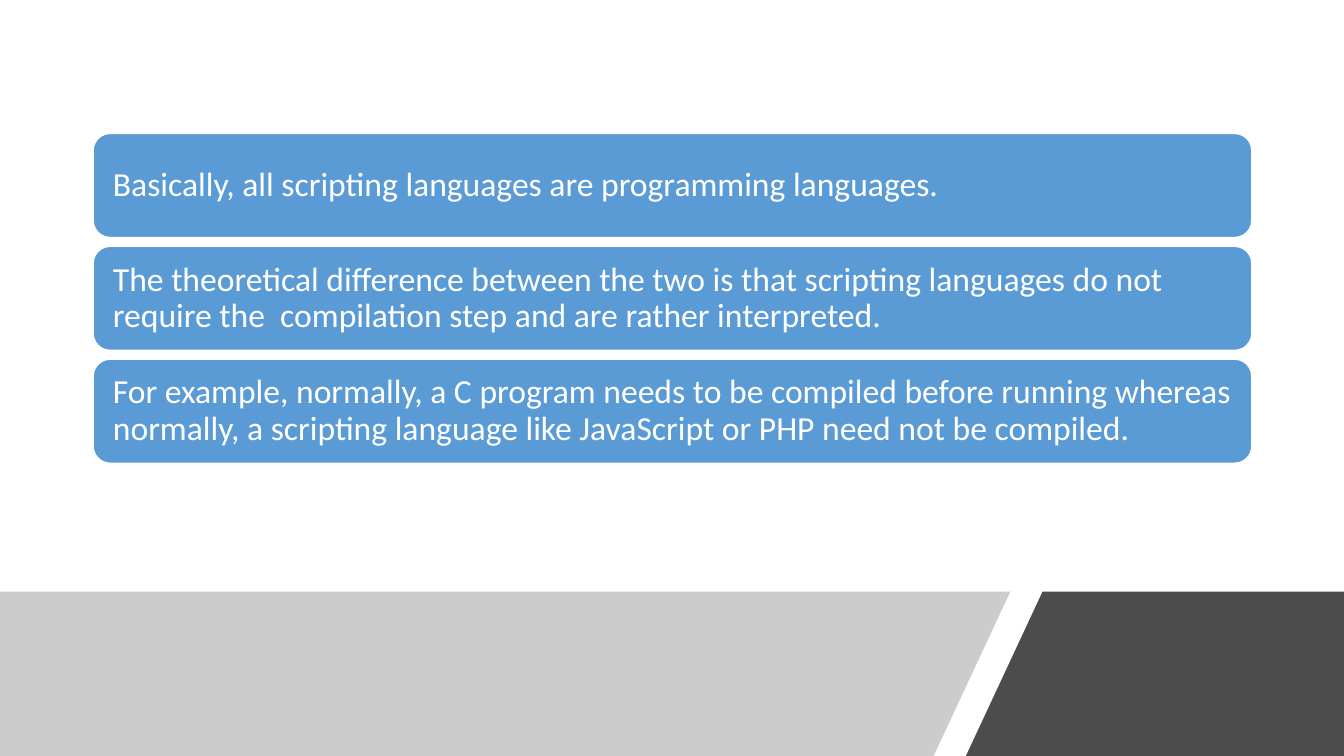
from pptx import Presentation
from pptx import util as u
from pptx.dml.color import RGBColor
from pptx.enum import shapes, text
from pptx.oxml.ns import qn
from lxml import etree

COLORS = {"card": "5B9BD5", "white": "FFFFFF", "gray": "808080", "black": "000000"}

STATEMENTS = [
    "Basically, all scripting languages are programming languages.",
    "The theoretical difference between the two is that scripting languages do not "
    "require the  compilation step and are rather interpreted.",
    "For example, normally, a C program needs to be compiled before running whereas "
    "normally, a scripting language like JavaScript or PHP need not be compiled.",
]

BANDS = [
    {"points": [(0, 5.87), (10.02, 5.87), (9.26, 7.5), (0, 7.5)],
     "color": "gray", "opacity": 40},
    {"points": [(10.34, 5.87), (13.33, 5.87), (13.33, 7.5), (9.58, 7.5)],
     "color": "black", "opacity": 70},
]

CARD_LEFT, CARD_TOP, CARD_W, CARD_H, CARD_STEP = 0.92, 1.32, 11.5, 1.04, 1.12


def rgb(name):
    return RGBColor.from_string(COLORS[name])


def fill_shape(sp, color, opacity=100):
    sp.shadow.inherit = False
    sp.fill.solid()
    sp.fill.fore_color.rgb = rgb(color)
    if opacity < 100:
        clr = sp.fill._xPr.find(qn("a:solidFill"))[0]
        etree.SubElement(clr, qn("a:alpha"), val=str(opacity * 1000))


def write(sp, content, size=24, font="Calibri", color="white", inset=0.15):
    tf = sp.text_frame
    tf.word_wrap = True
    tf.vertical_anchor = text.MSO_ANCHOR.MIDDLE
    tf.margin_left = tf.margin_right = u.Inches(inset)
    tf.margin_top = tf.margin_bottom = u.Inches(inset)
    p = tf.paragraphs[0]
    p.alignment = text.PP_ALIGN.LEFT
    p.line_spacing = 0.9
    r = p.add_run()
    r.text = content
    r.font.size = u.Pt(size)
    r.font.name = font
    r.font.color.rgb = rgb(color)


def add_band(s, points, color, opacity):
    pts = [(u.Inches(x), u.Inches(y)) for x, y in points]
    builder = s.shapes.build_freeform(*pts[0])
    builder.add_line_segments(pts[1:], close=True)
    sp = builder.convert_to_shape()
    fill_shape(sp, color, opacity)
    sp.line.fill.background()


def add_card(s, index, content):
    sp = s.shapes.add_shape(
        shapes.MSO_SHAPE.ROUNDED_RECTANGLE,
        u.Inches(CARD_LEFT), u.Inches(CARD_TOP + index * CARD_STEP),
        u.Inches(CARD_W), u.Inches(CARD_H))
    fill_shape(sp, "card")
    sp.line.color.rgb = rgb("white")
    sp.line.width = u.Pt(1.5)
    write(sp, content)


def main():
    prs = Presentation()
    prs.slide_width, prs.slide_height = u.Inches(13.33), u.Inches(7.5)
    s = prs.slides.add_slide(prs.slide_layouts[6])
    for band in BANDS:
        add_band(s, **band)
    for i, statement in enumerate(STATEMENTS):
        add_card(s, i, statement)
    prs.save("out.pptx")


if __name__ == "__main__":
    main()
